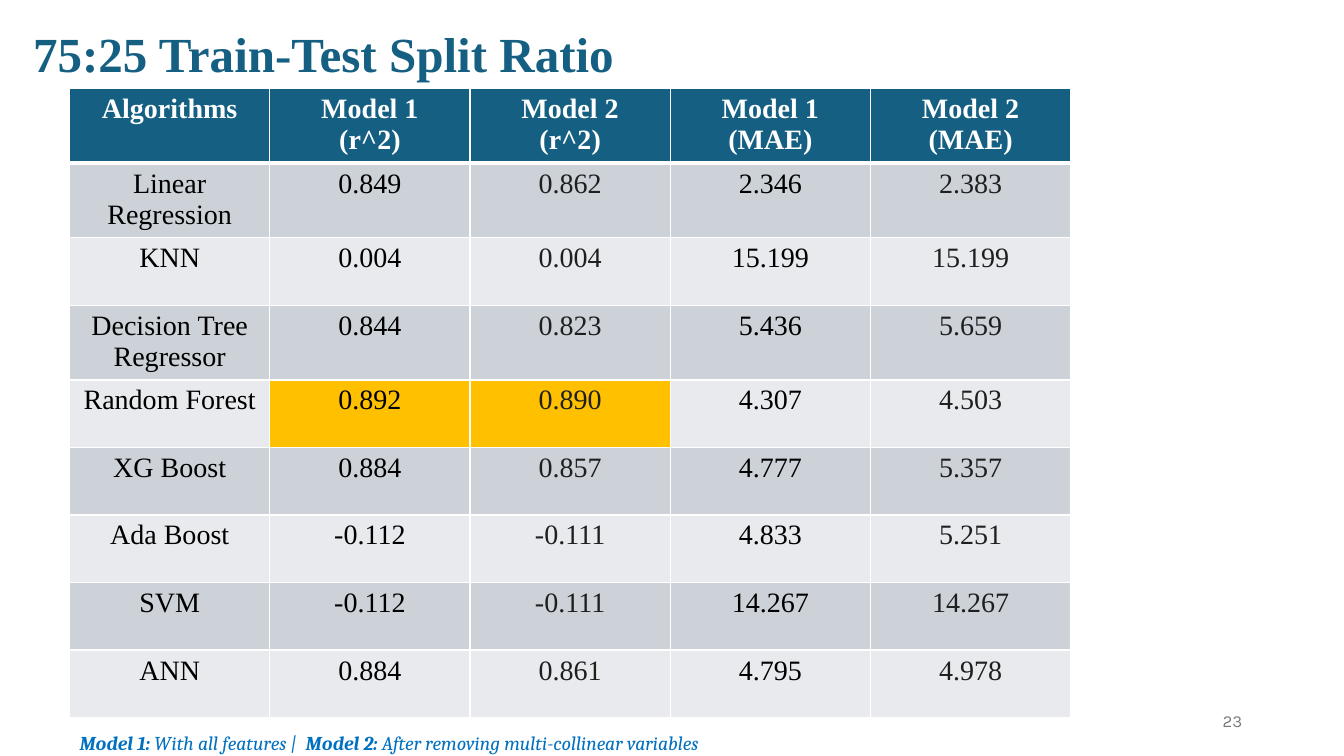
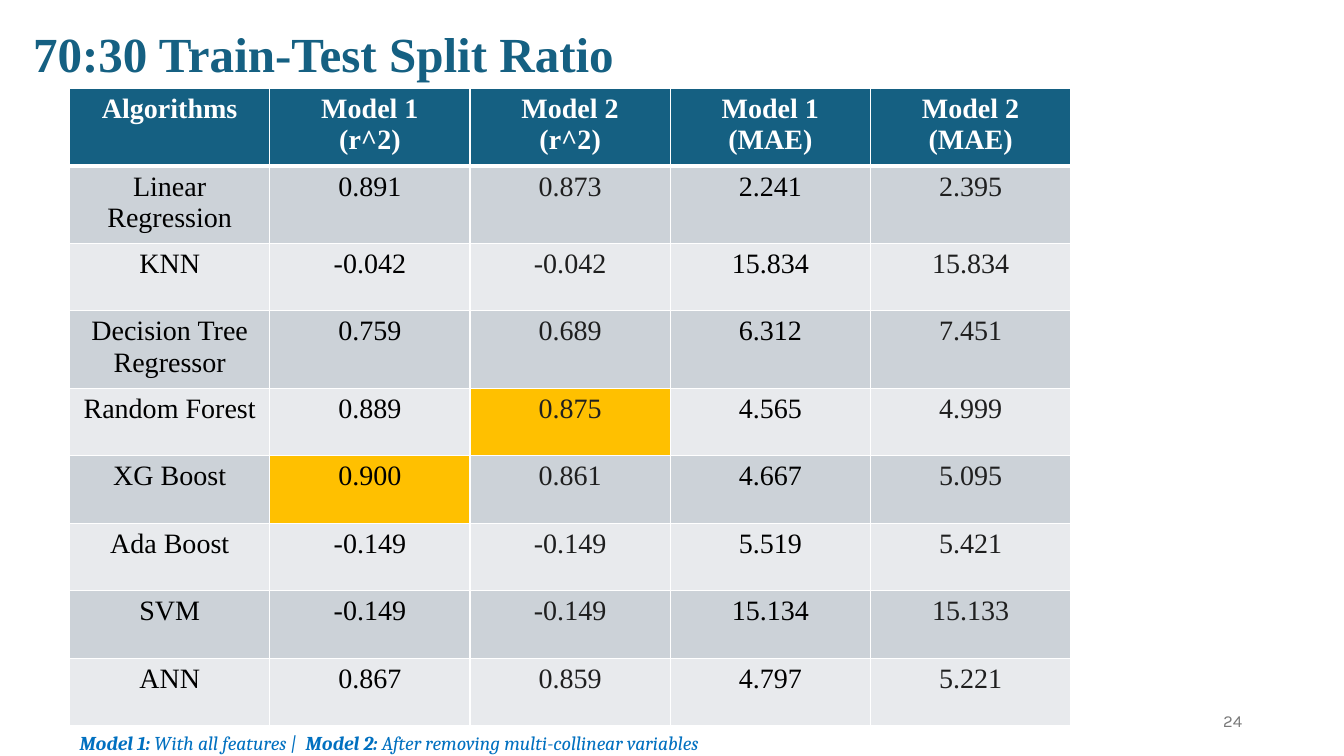
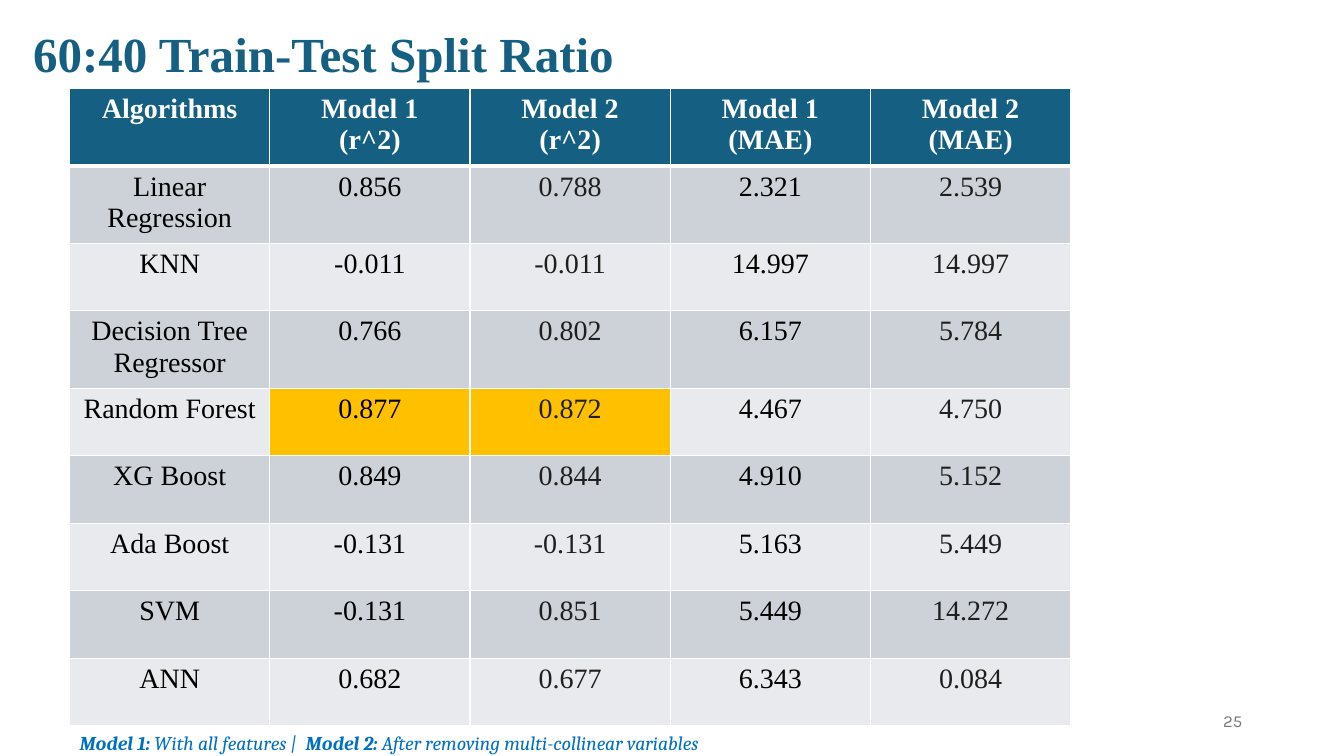
from lxml import etree
from pptx import Presentation
from pptx.dml.color import RGBColor
from pptx.enum.text import MSO_ANCHOR, PP_ALIGN
from pptx.oxml.ns import qn
from pptx.util import Inches, Pt

CENTER, LEFT, RIGHT = PP_ALIGN.CENTER, PP_ALIGN.LEFT, PP_ALIGN.RIGHT
TOP, MIDDLE = MSO_ANCHOR.TOP, MSO_ANCHOR.MIDDLE

COLORS = {
    "teal": "156082", "white": "FFFFFF", "black": "000000", "ink": "1F1F1F",
    "band_dark": "CCD2D8", "band_light": "E8EAED", "best": "FFC000",
    "note": "0070C0", "number": "797979",
}
SERIF, NOTE_FONT, NUMBER_FONT = "Times New Roman", "Cambria", "Karla"

# Boxes are left, top, width, height in inches
TITLE_BOX = (0.23, 0.18, 6.22, 0.71)
TABLE_BOX = (0.69, 0.88, 9.93, 6.24)
NOTE_BOX = (0.69, 7.2, 6.61, 0.34)
NUMBER_BOX = (9.42, 6.95, 3, 0.4)
TALL_ROW, ROW = 0.74, 0.67
TALL_ROWS = (0, 1, 3)

HEADERS = ["Algorithms", "Model 1\n(r^2)", "Model 2\n(r^2)",
           "Model 1\n(MAE)", "Model 2\n(MAE)"]
R2_COLUMNS = (1, 2)
ALGORITHMS = ["Linear Regression", "KNN", "Decision Tree\nRegressor",
              "Random Forest", "XG Boost", "Ada Boost", "SVM", "ANN"]
NOTE = [("Model 1: ", True), ("With all features |  ", False),
        ("Model 2: ", True), ("After removing multi-collinear variables", False)]

# Split ratio and, for each algorithm, the scores in header order
SPLITS = [
    ("75:25", [
        ("0.849", "0.862", "2.346", "2.383"),
        ("0.004", "0.004", "15.199", "15.199"),
        ("0.844", "0.823", "5.436", "5.659"),
        ("0.892", "0.890", "4.307", "4.503"),
        ("0.884", "0.857", "4.777", "5.357"),
        ("-0.112", "-0.111", "4.833", "5.251"),
        ("-0.112", "-0.111", "14.267", "14.267"),
        ("0.884", "0.861", "4.795", "4.978"),
    ]),
    ("70:30", [
        ("0.891", "0.873", "2.241", "2.395"),
        ("-0.042", "-0.042", "15.834", "15.834"),
        ("0.759", "0.689", "6.312", "7.451"),
        ("0.889", "0.875", "4.565", "4.999"),
        ("0.900", "0.861", "4.667", "5.095"),
        ("-0.149", "-0.149", "5.519", "5.421"),
        ("-0.149", "-0.149", "15.134", "15.133"),
        ("0.867", "0.859", "4.797", "5.221"),
    ]),
    ("60:40", [
        ("0.856", "0.788", "2.321", "2.539"),
        ("-0.011", "-0.011", "14.997", "14.997"),
        ("0.766", "0.802", "6.157", "5.784"),
        ("0.877", "0.872", "4.467", "4.750"),
        ("0.849", "0.844", "4.910", "5.152"),
        ("-0.131", "-0.131", "5.163", "5.449"),
        ("-0.131", "0.851", "5.449", "14.272"),
        ("0.682", "0.677", "6.343", "0.084"),
    ]),
]
FIRST_NUMBER = 23


def rgb(color):
    return RGBColor.from_string(COLORS[color])


def style_font(font, name, size, color, bold=False, italic=False):
    font.name, font.size = name, Pt(size)
    font.bold, font.italic = bold, italic
    font.color.rgb = rgb(color)


def add_text(slide, box, runs, name, size, color, italic=False,
             align=LEFT, anchor=TOP):
    """Add a one-paragraph text box; runs are (text, bold) pairs."""
    frame = slide.shapes.add_textbox(*map(Inches, box)).text_frame
    frame.word_wrap = True
    frame.vertical_anchor = anchor
    paragraph = frame.paragraphs[0]
    paragraph.alignment = align
    for text, bold in runs:
        run = paragraph.add_run()
        run.text = text
        style_font(run.font, name, size, color, bold, italic)


def set_borders(cell, top, bottom):
    """Draw white cell edges; top and bottom are widths in points."""
    properties = cell._tc.get_or_add_tcPr()
    for edge, width in (("lnL", 1), ("lnR", 1), ("lnT", top), ("lnB", bottom)):
        line = etree.SubElement(properties, qn(f"a:{edge}"), w=str(Pt(width)))
        fill = etree.SubElement(line, qn("a:solidFill"))
        etree.SubElement(fill, qn("a:srgbClr"), val=COLORS["white"])


def fill_cell(cell, text, fill, color, bold):
    cell.fill.solid()
    cell.fill.fore_color.rgb = rgb(fill)
    cell.text_frame.text = text
    for paragraph in cell.text_frame.paragraphs:
        paragraph.alignment = CENTER
        for run in paragraph.runs:
            style_font(run.font, SERIF, 20, color, bold)


def add_score_table(slide, box, scores):
    """Add the score table, marking the best value of each r^2 column."""
    rows = [HEADERS] + [[name, *row] for name, row in zip(ALGORITHMS, scores)]
    best = {c: max((row[c] for row in rows[1:]), key=float) for c in R2_COLUMNS}
    table = slide.shapes.add_table(len(rows), len(HEADERS),
                                   *map(Inches, box)).table
    for column in table.columns:
        column.width = Inches(box[2] / len(HEADERS))
    for r, row in enumerate(rows):
        table.rows[r].height = Inches(TALL_ROW if r in TALL_ROWS else ROW)
        for c, text in enumerate(row):
            cell = table.cell(r, c)
            set_borders(cell, 3 if r == 1 else 1, 3 if r == 0 else 1)
            if r == 0:
                fill, color = "teal", "white"
            else:
                fill = "band_dark" if r % 2 else "band_light"
                color = "ink" if c in (2, 4) else "black"
                if text == best.get(c):
                    fill = "best"
            fill_cell(cell, text, fill, color, bold=r == 0)


def add_split_slide(prs, ratio, scores, number):
    slide = prs.slides.add_slide(prs.slide_layouts[6])
    add_score_table(slide, TABLE_BOX, scores)
    add_text(slide, TITLE_BOX, [(f"{ratio} Train-Test Split Ratio", True)],
             SERIF, 35, "teal")
    add_text(slide, NOTE_BOX, NOTE, NOTE_FONT, 14, "note", italic=True)
    add_text(slide, NUMBER_BOX, [(str(number), False)], NUMBER_FONT, 12,
             "number", align=RIGHT, anchor=MIDDLE)


def main():
    prs = Presentation()
    prs.slide_width, prs.slide_height = Inches(13.33), Inches(7.5)
    for number, (ratio, scores) in enumerate(SPLITS, FIRST_NUMBER):
        add_split_slide(prs, ratio, scores, number)
    prs.save("out.pptx")


if __name__ == "__main__":
    main()
